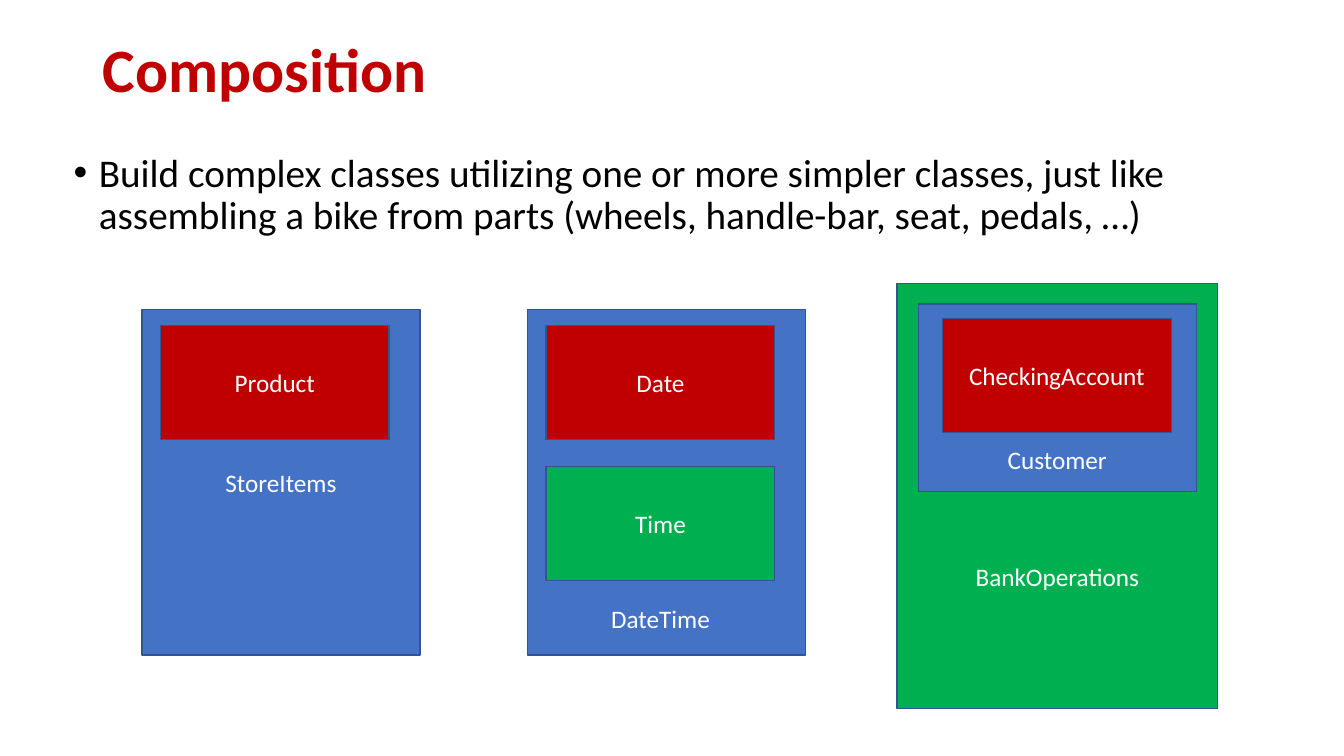
from pptx import Presentation
from pptx.dml.color import RGBColor
from pptx.enum.shapes import MSO_SHAPE
from pptx.enum.text import MSO_ANCHOR, PP_ALIGN
from pptx.util import Pt

RECTANGLE = MSO_SHAPE.RECTANGLE
TOP, MIDDLE = MSO_ANCHOR.TOP, MSO_ANCHOR.MIDDLE
LEFT, CENTER = PP_ALIGN.LEFT, PP_ALIGN.CENTER

# Content
FONT = "Calibri"
RED, GREEN, BLUE = "C00000", "00B050", "4472C4"
OUTLINE, WHITE, BLACK = "325491", "FFFFFF", "000000"
TITLE = "Composition"
BULLET = ("Build complex classes utilizing one or more simpler classes, just like "
          "assembling a bike from parts (wheels, handle-bar, seat, pedals, …)")

WHOLE = (198.7, 247)      # a class built from others
PART = (163.4, 81.4)      # a simpler class inside it
WHOLE_TOP, PART_TOP = 221, 232.6

# Classes, back to front: left, top, size, fill, label
CLASSES = [
    (640.8, 202.3, (229, 303.8), GREEN, ""),
    (101.4, WHOLE_TOP, WHOLE, BLUE, "StoreItems"),
    (114.6, PART_TOP, PART, RED, "Product"),
    (376.7, WHOLE_TOP, WHOLE, BLUE, ""),
    (390.1, PART_TOP, PART, RED, "Date"),
    (390.1, 333.4, PART, GREEN, "Time"),
    (655.9, 217.3, (WHOLE[0], 133.9), BLUE, ""),
    (673.3, 227.7, PART, RED, "CheckingAccount"),
]

# Labels set below the inner classes: left, top, width, text
CAPTION_HEIGHT = 29
CAPTIONS = [
    (429, 427.3, 85.7, "DateTime"),
    (712, 313.5, 86.4, "Customer"),
    (689, 397.6, 132.5, "BankOperations"),
]


def color(value):
    return RGBColor.from_string(value)


def place(shape, left, top, width, height):
    shape.left, shape.top = Pt(left), Pt(top)
    shape.width, shape.height = Pt(width), Pt(height)


def write(shape, text, size=18, ink=WHITE, align=CENTER, anchor=MIDDLE, bold=False):
    frame = shape.text_frame
    frame.vertical_anchor = anchor
    para = frame.paragraphs[0]
    para.alignment = align
    span = para.add_run()
    span.text = text
    span.font.name, span.font.size, span.font.bold = FONT, Pt(size), bold
    span.font.color.rgb = color(ink)
    return para


deck = Presentation()
deck.slide_width, deck.slide_height = Pt(960), Pt(540)
page = deck.slides.add_slide(deck.slide_layouts[1])

# Title and bullet
title, body = page.placeholders
place(title, 66.2, 18, 828, 67.7)
write(title, TITLE, 44, RED, LEFT, bold=True).line_spacing = 0.9

place(body, 45.4, 105.8, 870.5, 95)
point = write(body, BULLET, 28, BLACK, LEFT, TOP)
point.line_spacing, point.space_before = 0.9, Pt(10)
indent = point._p.get_or_add_pPr()
indent.set("marL", str(Pt(18)))
indent.set("indent", str(Pt(-18)))

# Nested class boxes
for left, top, (width, height), fill, label in CLASSES:
    box = page.shapes.add_shape(RECTANGLE, Pt(left), Pt(top), Pt(width), Pt(height))
    box.shadow.inherit = False
    box.fill.solid()
    box.fill.fore_color.rgb = color(fill)
    box.line.color.rgb = color(OUTLINE)
    box.line.width = Pt(1)
    if label:
        write(box, label)

# Captions
for left, top, width, label in CAPTIONS:
    caption = page.shapes.add_textbox(Pt(left), Pt(top), Pt(width), Pt(CAPTION_HEIGHT))
    caption.text_frame.word_wrap = False
    write(caption, label, anchor=TOP)

deck.save("out.pptx")
